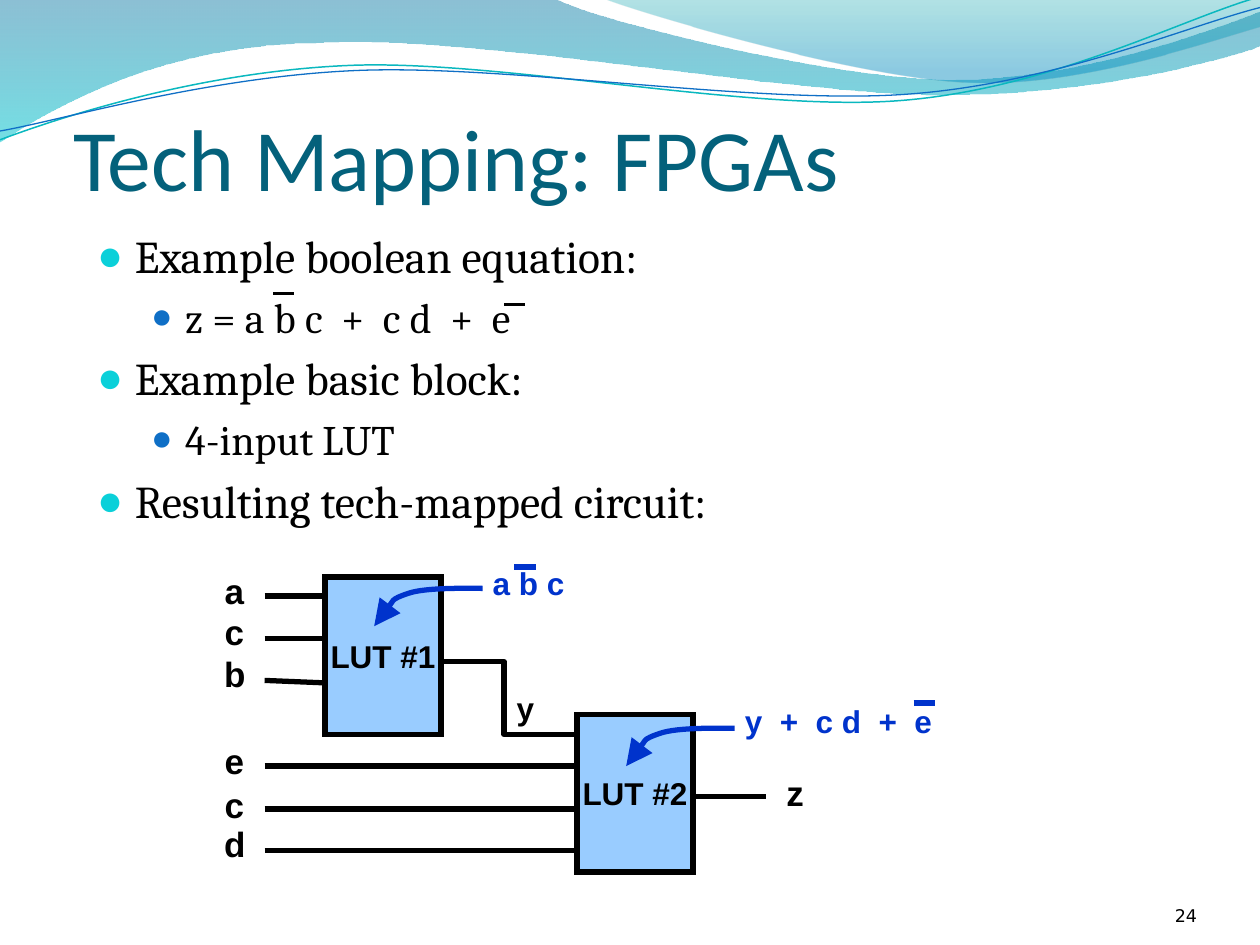
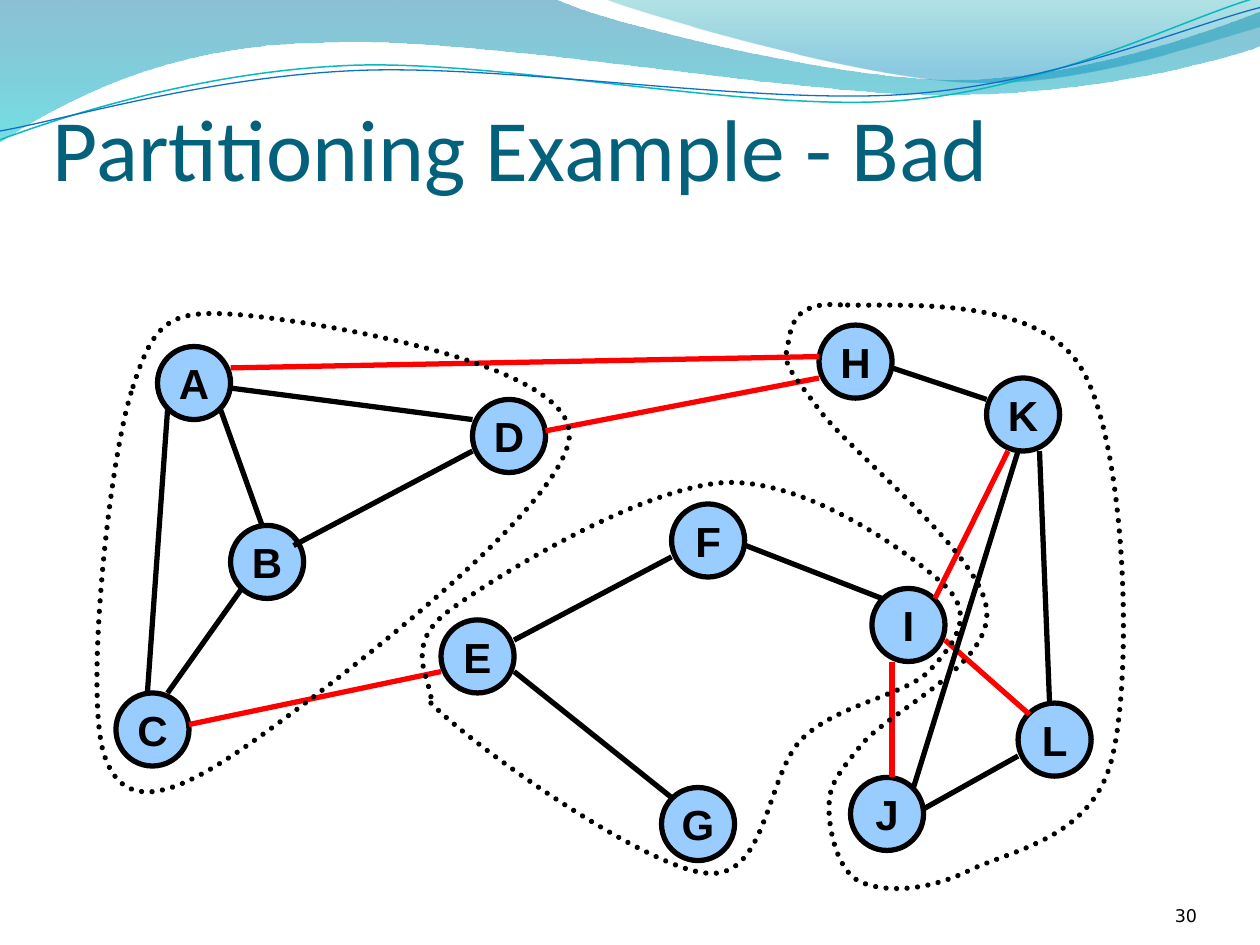
"""Build two slides on FPGA technology mapping and graph partitioning."""
from dataclasses import dataclass
from typing import Any, NamedTuple

from lxml.etree import SubElement
from pptx import Presentation
from pptx.dml.color import RGBColor
from pptx.enum.dml import MSO_LINE
from pptx.enum.shapes import MSO_CONNECTOR, MSO_SHAPE
from pptx.enum.text import MSO_ANCHOR, MSO_AUTO_SIZE, PP_ALIGN
from pptx.oxml.ns import qn
from pptx.util import Inches, Pt

BLACK, RED, BLUE = "000000", "FF0000", "0033CC"
BLOCK_FILL, TITLE_COLOR = "99CCFF", "04617B"
BULLETS = [
    {"color": "0BD0D9", "percent": 95, "indent": 0.3, "hanging": 0.3, "size": 26},
    {"color": "0F6FC6", "percent": 85, "indent": 0.7, "hanging": 0.27, "size": 24},
]
NO_MARGINS = {"margin_left": 0, "margin_right": 0, "margin_top": 0, "margin_bottom": 0}
NODE_SIZE = 0.58


class Stop(NamedTuple):
    position: float
    color: str
    opacity: int


class Label(NamedTuple):
    text: str
    left: float
    top: float
    width: float
    size: int = 20
    color: str = BLACK


class Wire(NamedTuple):
    x1: float
    y1: float
    x2: float
    y2: float
    color: str = BLACK
    width: float = 3


@dataclass
class Outline:
    """Start point, then line segments (two numbers) or curves (six numbers)."""
    start: tuple[float, float]
    segments: list[tuple[float, ...]]
    closed: bool = False
    line: str | None = BLACK
    width: float = 3
    dotted: bool = False
    arrow: bool = False
    gradient: tuple[Stop, Stop] | None = None
    shift: tuple[float, float] = (0, 0)

    def points(self) -> list[tuple[int, int]]:
        """Return the start, end and control points in EMU."""
        dx, dy = self.shift
        return [(Inches(segment[i] + dx), Inches(segment[i + 1] + dy))
                for segment in [self.start, *self.segments] for i in range(0, len(segment), 2)]


WAVES = [
    Outline((0, -0.01), [(4.4, -0.01), (4.76, 0.17, 6.64, 0.63, 7.58, 0.63),
                         (8.53, 0.63, 9.58, 0.26, 10, 0.09), (10.01, 0.36),
                         (9.83, 0.44, 8.7, 0.76, 7.46, 0.75), (6.22, 0.75, 3.82, 0.28, 2.57, 0.34),
                         (1.29, 0.35, 0.46, 0.83, -0.01, 1.13), (0, -0.01)],
            closed=True, line=None, gradient=(Stop(0, "0074A1", 45), Stop(1, "00C6CF", 55))),
    Outline((4.79, -0.01), [(5.09, 0.11, 6.82, 0.62, 7.69, 0.65),
                            (8.56, 0.69, 9.61, 0.32, 10, 0.21), (10, 0), (4.79, -0.01)],
            closed=True, line=None, gradient=(Stop(0, "00A1A9", 30), Stop(0.8, "008BBF", 45))),
    Outline((0, 1.11), [(0.48, 0.93, 1.58, 0.57, 2.77, 0.52), (3.95, 0.47, 5.93, 0.89, 7.13, 0.8),
                        (8.33, 0.71, 9.38, 0.15, 9.98, -0.02)], line="0AB8BF", width=0.85),
    Outline((0, 1.04), [(0.47, 0.96, 1.64, 0.61, 2.83, 0.56), (4.03, 0.51, 5.97, 0.83, 7.17, 0.75),
                        (8.36, 0.67, 9.41, 0.21, 10, 0.06)], line="0F6FC6", width=0.75),
]

EQUATION_LINES = [(0, "Example boolean equation:"), (1, "z = a b c  +  c d  +  e"),
                  (0, "Example basic block:"), (1, "4-input LUT"),
                  (0, "Resulting tech-mapped circuit:")]
INPUT_TOPS = {4.47: "a", 4.8: "c", 5.13: "b", 5.82: "e", 6.17: "c", 6.48: "d"}
INPUT_LABELS = [Label(name, 1.68, top, 0.36) for top, name in INPUT_TOPS.items()]
INPUT_WIRES = [Wire(2.1, 4.73, 2.6, 4.73), Wire(2.1, 5.07, 2.6, 5.07), Wire(2.1, 5.4, 2.58, 5.42),
               *(Wire(2.1, y, 4.58, y) for y in (6.08, 6.42, 6.75))]
OUTPUT_WIRE = Wire(5.5, 6.32, 6.08, 6.32)
OVERBARS = [Wire(4.08, 4.5, 4.25, 4.5, BLUE), Wire(7.25, 5.58, 7.42, 5.58, BLUE),
            Wire(2.17, 2.33, 2.33, 2.33, width=1.75), Wire(4, 2.42, 4.17, 2.42, width=1.75)]
CIRCUIT_LABELS = [Label("z", 6.14, 6.07, 0.34), Label("y", 4, 5.42, 0.34, 18),
                  Label("a b c", 3.81, 4.43, 0.77, 18, BLUE),
                  Label("y  +  c d  +  e", 5.81, 5.52, 1.69, 18, BLUE)]
LUTS = {"LUT #1": (2.58, 4.58), "LUT #2": (4.58, 5.67)}
LUT_LINK = Outline((3.5, 5.25), [(4, 5.25), (4, 5.83), (4.58, 5.83)])
POINTERS = [Outline((3.83, 4.67), [(3.73, 4.67, 3.38, 4.66, 3.24, 4.71),
                                   (3.09, 4.76, 3.02, 4.91, 2.97, 4.97)],
                    line=BLUE, arrow=True, shift=shift) for shift in ((0, 0), (2, 1.11))]

NODES = {"A": (1.25, 2.75), "B": (1.83, 4.17), "C": (0.92, 5.5), "D": (3.75, 3.17),
         "E": (3.5, 4.92), "F": (5.33, 4), "G": (5.25, 6.25), "H": (6.5, 2.58),
         "I": (6.92, 4.67), "J": (6.75, 6.17), "K": (7.83, 3), "L": (8.08, 5.58)}
INNER_EDGES = [Wire(1.75, 3.25, 2.08, 4.17), Wire(1.33, 5.5, 1.92, 4.67),
               Wire(2.33, 4.33, 3.75, 3.58), Wire(1.83, 3.08, 3.75, 3.33),
               Wire(1.33, 3.25, 1.17, 5.5), Wire(4.08, 5.33, 5.33, 6.33),
               Wire(4.08, 5.08, 5.33, 4.42), Wire(7.08, 2.92, 7.83, 3.17),
               Wire(5.92, 4.33, 7, 4.75), Wire(8.25, 3.58, 8.33, 5.58),
               Wire(7.33, 6.42, 8.08, 6)]
CUT_EDGES = [Wire(*ends, RED) for ends in (
    (1.83, 2.92, 6.5, 2.83), (4.33, 3.42, 6.5, 3), (1.5, 5.75, 3.5, 5.33),
    (8, 3.58, 7.42, 4.75), (7.5, 5.08, 8.17, 5.67), (7.08, 5.25, 7.08, 6.17))]
CROSSING_EDGE = Wire(8.08, 3.58, 7.25, 6.25)
PARTITIONS = [Outline(start, curves, closed=True, dotted=True) for start, curves in (
    ((1.04, 3.12), [(0.86, 3.7, 0.67, 5.54, 0.83, 6), (0.99, 6.46, 1.39, 6.32, 2, 5.89),
                    (2.61, 5.46, 4.53, 4, 4.52, 3.44), (4.5, 2.87, 2.49, 2.55, 1.92, 2.5),
                    (1.34, 2.45, 1.22, 2.54, 1.04, 3.12)]),
    ((3.42, 5.58), [(3.76, 5.93, 5.12, 6.89, 5.61, 6.93), (6.1, 6.98, 6.08, 6.12, 6.38, 5.85),
                    (6.67, 5.58, 7.19, 5.52, 7.38, 5.32), (7.56, 5.12, 7.76, 4.89, 7.49, 4.64),
                    (7.22, 4.39, 6.41, 3.8, 5.75, 3.83), (5.09, 3.87, 3.95, 4.56, 3.56, 4.85),
                    (3.17, 5.14, 3.45, 5.43, 3.42, 5.58)]),
    ((6.67, 2.42), [(6.28, 2.39, 6.28, 2.61, 6.25, 2.75), (6.22, 2.89, 6.24, 2.9, 6.5, 3.25),
                    (6.76, 3.6, 7.78, 4.39, 7.83, 4.83), (7.89, 5.28, 7.04, 5.65, 6.83, 5.92),
                    (6.62, 6.18, 6.58, 6.24, 6.58, 6.42), (6.58, 6.6, 6.65, 6.92, 6.83, 7),
                    (7.01, 7.08, 7.33, 7.08, 7.67, 6.92), (8, 6.75, 8.68, 6.67, 8.83, 6),
                    (8.99, 5.33, 8.94, 3.51, 8.58, 2.92), (8.22, 2.32, 7.06, 2.44, 6.67, 2.42)]),
)]


def rgb(value: str) -> RGBColor:
    """Turn a hex string into a colour."""
    return RGBColor.from_string(value)


def apply(target: Any, **values: Any) -> None:
    """Set each given attribute on the target."""
    for name, value in values.items():
        setattr(target, name, value)


def place(shape: Any, left: float, top: float, width: float, height: float) -> None:
    """Move and size a shape in inches."""
    apply(shape, left=Inches(left), top=Inches(top), width=Inches(width), height=Inches(height))


def write(para: Any, text: str, font: str, size: float, color: str, bold: bool = False) -> None:
    """Add one formatted run to a paragraph."""
    span = para.add_run()
    span.text = text
    apply(span.font, name=font, size=Pt(size), bold=bold)
    span.font.color.rgb = rgb(color)


def stroke(line: Any, color: str, width: float) -> None:
    """Set the colour and width of a line."""
    line.color.rgb = rgb(color)
    line.width = Pt(width)


def bend(shape: Any, segments: list[tuple[float, ...]]) -> None:
    """Join each three line steps of a curved segment into one Bezier curve."""
    steps = iter(list(shape.element.iter(qn("a:lnTo"))))
    for segment in segments:
        first, *others = [next(steps) for _ in range(len(segment) // 2)]
        if others:
            first.tag = qn("a:cubicBezTo")
            for step in others:
                first.append(step[0])
                step.getparent().remove(step)


def draw_outline(page: Any, outline: Outline) -> Any:
    """Draw an outline as a freeform."""
    first, *rest = outline.points()
    builder = page.shapes.build_freeform(*first, scale=1.0)
    builder.add_line_segments(rest, close=outline.closed)
    shape = builder.convert_to_shape()
    bend(shape, outline.segments)
    shape.shadow.inherit = False
    if outline.gradient:
        shape.fill.gradient()
        shape.fill.gradient_angle = 270
        for target, stop in zip(shape.fill.gradient_stops, outline.gradient):
            target.color.rgb = rgb(stop.color)
            target.position = stop.position
        for node, stop in zip(shape.element.iter(qn("a:srgbClr")), outline.gradient):
            SubElement(node, qn("a:alpha"), val=str(stop.opacity * 1000))
    else:
        shape.fill.background()
    if outline.line is None:
        shape.line.fill.background()
        return shape
    stroke(shape.line, outline.line, outline.width)
    line_node = shape.element.spPr.find(qn("a:ln"))
    if outline.dotted:
        shape.line.dash_style = MSO_LINE.ROUND_DOT
        line_node.set("cap", "rnd")
    if outline.arrow:
        SubElement(line_node, qn("a:tailEnd"), type="triangle", w="lg", len="lg")
    return shape


def draw_wire(page: Any, wire: Wire) -> None:
    """Draw a straight connector."""
    ends = [Inches(value) for value in wire[:4]]
    connector = page.shapes.add_connector(MSO_CONNECTOR.STRAIGHT, *ends)
    stroke(connector.line, wire.color, wire.width)
    SubElement(connector.element.spPr, qn("a:effectLst"))


def draw_label(page: Any, label: Label) -> None:
    """Draw a bold centred label."""
    box = page.shapes.add_textbox(0, 0, 0, 0)
    place(box, label.left, label.top, label.width, 0.43 if label.size == 20 else 0.4)
    apply(box.text_frame, word_wrap=False, auto_size=MSO_AUTO_SIZE.SHAPE_TO_FIT_TEXT)
    para = box.text_frame.paragraphs[0]
    para.alignment = PP_ALIGN.CENTER
    write(para, label.text, "Arial", label.size, label.color, True)


def draw_block(page: Any, kind: Any, text: str, corner: tuple[float, float],
               width: float, height: float, size: int) -> None:
    """Draw a light blue outlined block with its name."""
    shape = page.shapes.add_shape(kind, 0, 0, 0, 0)
    place(shape, *corner, width, height)
    shape.shadow.inherit = False
    shape.fill.solid()
    shape.fill.fore_color.rgb = rgb(BLOCK_FILL)
    stroke(shape.line, BLACK, 3)
    SubElement(shape.element.spPr.find(qn("a:ln")), qn("a:miter"), lim="800000")
    apply(shape.text_frame, word_wrap=False, vertical_anchor=MSO_ANCHOR.MIDDLE)
    para = shape.text_frame.paragraphs[0]
    para.alignment = PP_ALIGN.CENTER
    write(para, text, "Arial", size, BLACK, True)


def add_page(deck: Any, layout: int, title: str, area: tuple[float, ...], number: int) -> Any:
    """Add a slide with its title and page number."""
    page = deck.slides.add_slide(deck.slide_layouts[layout])
    heading = page.shapes.title
    place(heading, *area)
    number_box = page.shapes.add_textbox(0, 0, 0, 0)
    place(number_box, 8.67, 6.95, 0.83, 0.4)
    for box in (heading, number_box):
        apply(box.text_frame, **NO_MARGINS, word_wrap=True, auto_size=MSO_AUTO_SIZE.NONE,
              vertical_anchor=MSO_ANCHOR.BOTTOM)
    heading.text_frame.margin_top = Inches(0.05)
    para = heading.text_frame.paragraphs[0]
    para.alignment = PP_ALIGN.LEFT
    write(para, title, "Calibri", 50, TITLE_COLOR)
    para = number_box.text_frame.paragraphs[0]
    para.alignment = PP_ALIGN.RIGHT
    write(para, str(number), "DejaVu Sans", 10, BLACK)
    return page


def fill_body(body: Any, lines: list[tuple[int, str]]) -> None:
    """Write the bulleted list into the body placeholder."""
    place(body, 0.67, 1.76, 9, 4.8)
    frame = body.text_frame
    frame.auto_size = MSO_AUTO_SIZE.NONE
    for index, (level, text) in enumerate(lines):
        para = frame.add_paragraph() if index else frame.paragraphs[0]
        style = BULLETS[level]
        apply(para, level=level, space_before=Pt(style["size"] * 0.2 if index else 0))
        properties = para._p.get_or_add_pPr()
        properties.set("marL", str(Inches(style["indent"])))
        properties.set("indent", str(-Inches(style["hanging"])))
        bullet_color = SubElement(properties, qn("a:buClr"))
        SubElement(bullet_color, qn("a:srgbClr"), val=style["color"])
        SubElement(properties, qn("a:buSzPct"), val=str(style["percent"] * 1000))
        SubElement(properties, qn("a:buChar"), char="●")
        write(para, text, "Cambria", style["size"], BLACK)


def build_mapping(deck: Any) -> Any:
    """Build the technology mapping slide."""
    page = add_page(deck, 1, "Tech Mapping: FPGAs", (0.58, 0.41, 9, 1.25), 24)
    fill_body(page.placeholders[1], EQUATION_LINES)
    for wire in [*INPUT_WIRES, OUTPUT_WIRE]:
        draw_wire(page, wire)
    for name, corner in LUTS.items():
        draw_block(page, MSO_SHAPE.RECTANGLE, name, corner, 0.92, 1.25, 18)
    for outline in [LUT_LINK, *POINTERS]:
        draw_outline(page, outline)
    for label in INPUT_LABELS + CIRCUIT_LABELS:
        draw_label(page, label)
    for bar in OVERBARS:
        draw_wire(page, bar)
    return page


def build_partitioning(deck: Any) -> None:
    """Build the partitioning slide."""
    page = add_page(deck, 5, "Partitioning Example - Bad", (0.42, 0.5, 9.67, 1.08), 30)
    for name, corner in NODES.items():
        draw_block(page, MSO_SHAPE.OVAL, name, corner, NODE_SIZE, NODE_SIZE, 24)
    for edge in [*INNER_EDGES, *CUT_EDGES, CROSSING_EDGE]:
        draw_wire(page, edge)
    for partition in PARTITIONS:
        draw_outline(page, partition)


def main() -> None:
    """Build and save the deck."""
    deck = Presentation()
    apply(deck, slide_width=Inches(10), slide_height=Inches(7.5))
    page = build_mapping(deck)
    for index, wave in enumerate(WAVES):
        deck.slide_master.shapes.element.insert(2 + index, draw_outline(page, wave).element)
    build_partitioning(deck)
    deck.save("out.pptx")


if __name__ == "__main__":
    main()
